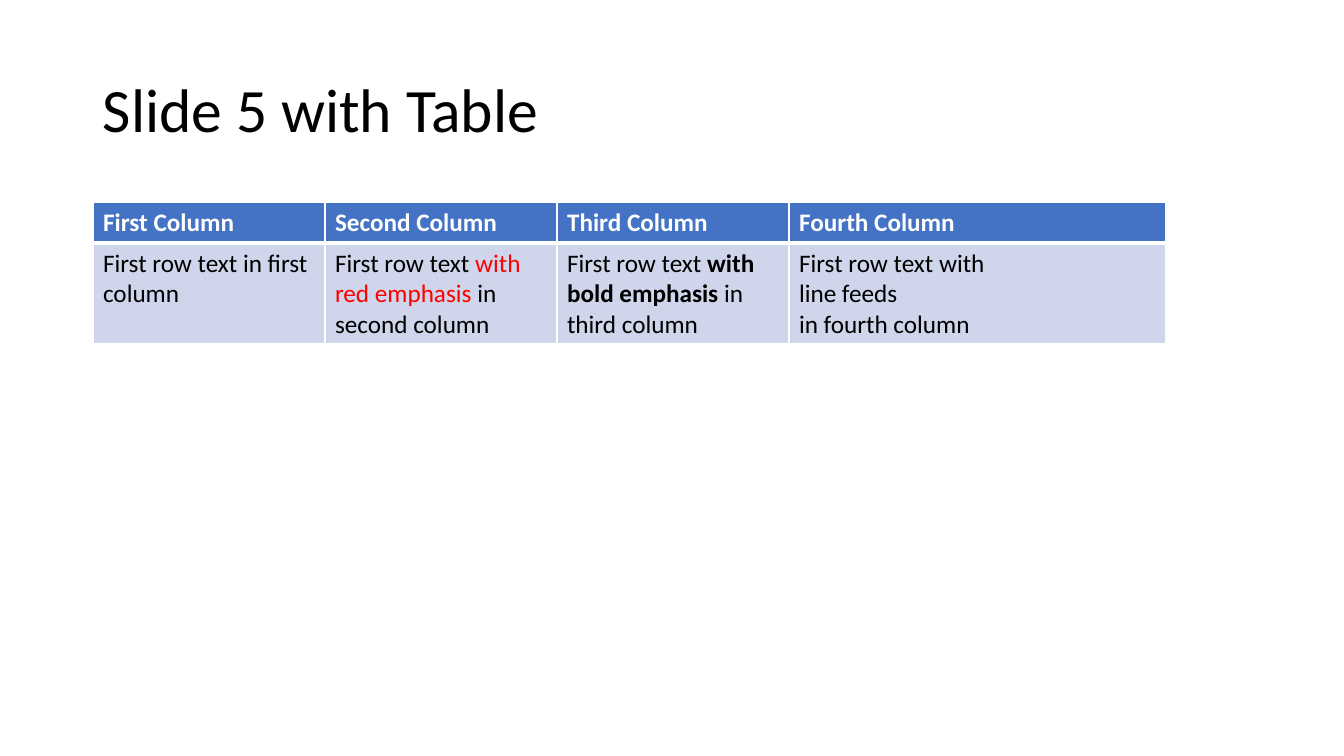
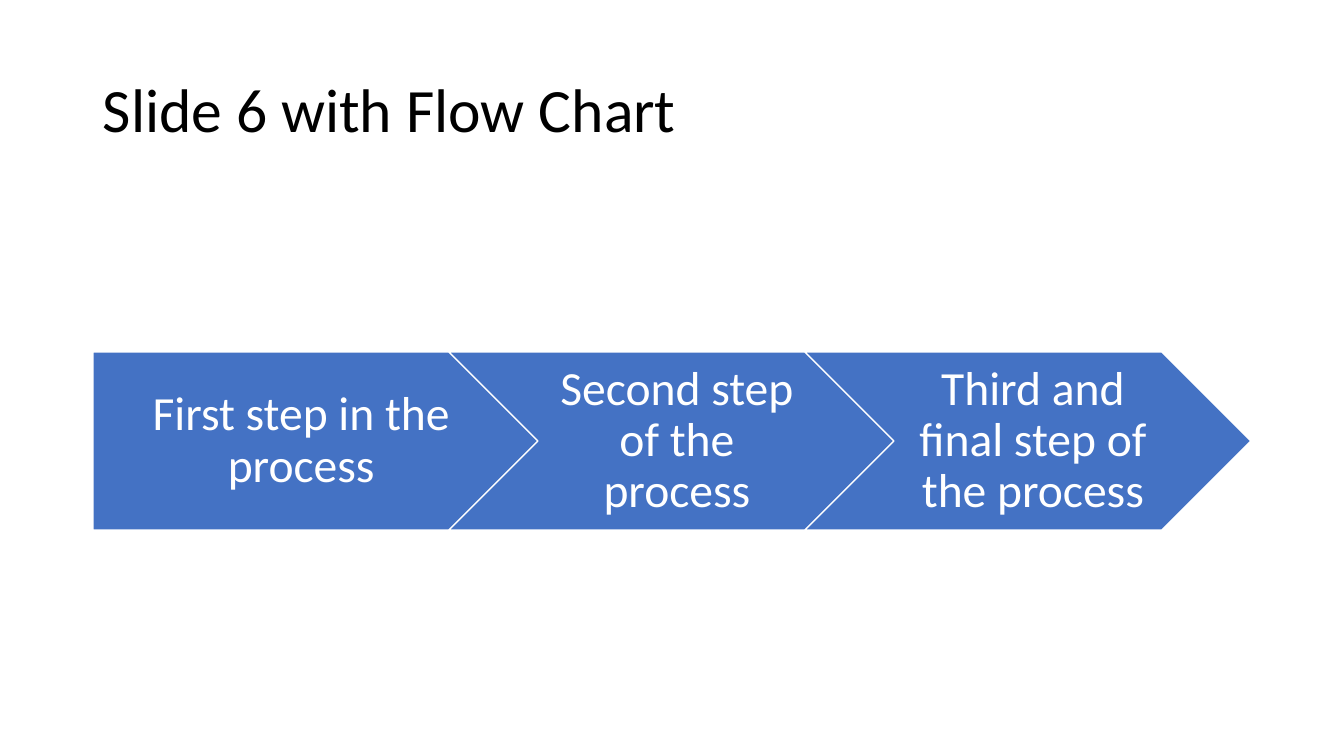
from dataclasses import dataclass

from lxml.etree import SubElement
from pptx import Presentation
from pptx.dml.color import RGBColor
from pptx.enum.shapes import MSO_SHAPE
from pptx.enum.text import MSO_ANCHOR, PP_ALIGN
from pptx.oxml.ns import qn
from pptx.util import Pt


@dataclass(frozen=True)
class Theme:
    font: str = "Calibri"
    title_size: int = 44
    step_size: int = 34
    table_size: int = 18
    black: RGBColor = RGBColor(0x00, 0x00, 0x00)
    white: RGBColor = RGBColor(0xFF, 0xFF, 0xFF)
    red: RGBColor = RGBColor(0xFF, 0x00, 0x00)
    accent: RGBColor = RGBColor(0x44, 0x72, 0xC4)
    pale: RGBColor = RGBColor(0xCF, 0xD5, 0xEA)


theme = Theme()
SCALE = 914400 / 100.8
LEFT = 93


def px(*lengths):
    """Turn pixel lengths into a list of EMU lengths."""
    return [round(length * SCALE) for length in lengths]


def style(paragraph, size, color, bold=False):
    """Set the font shared by all runs of a paragraph."""
    font = paragraph.font
    font.name, font.size, font.bold = theme.font, Pt(size), bold
    font.color.rgb = color


deck = Presentation()
deck.slide_width, deck.slide_height = px(1344, 756)

# Titled pages
pages = []
for title in ("Slide 5 with Table", "Slide 6 with Flow Chart"):
    page = deck.slides.add_slide(deck.slide_layouts[6])
    box = page.shapes.add_textbox(*px(LEFT, 40, 1159, 146))
    box.text_frame.word_wrap = True
    box.text_frame.vertical_anchor = MSO_ANCHOR.MIDDLE
    paragraph = box.text_frame.paragraphs[0]
    paragraph.text = title
    paragraph.line_spacing = 0.9
    style(paragraph, theme.title_size, theme.black)
    pages.append(page)
table_page, process_page = pages

# Table: each cell is a list of (text, emphasis) spans
rows = [
    [[(f"{name} Column", None)] for name in ("First", "Second", "Third", "Fourth")],
    [
        [("First row text in first column", None)],
        [("First row text ", None), ("with red emphasis ", "red"), ("in second column", None)],
        [("First row text ", None), ("with bold emphasis ", "bold"), ("in third column", None)],
        [("First row text with \vline feeds \vin fourth column", None)],
    ],
]
column_widths = (232, 232, 232, 377)
row_heights = (41, 101)
row_looks = (
    (theme.accent, theme.white, True, {"L": 1, "R": 1, "T": 1, "B": 3}),
    (theme.pale, theme.black, False, {"L": 1, "R": 1, "T": 3, "B": 1}),
)

frame = table_page.shapes.add_table(
    len(rows), len(column_widths), *px(LEFT, 202, sum(column_widths), sum(row_heights)))
table = frame.table
table.horz_banding = False
for column, width in zip(table.columns, px(*column_widths)):
    column.width = width
for row, height in zip(table.rows, px(*row_heights)):
    row.height = height

for row, contents, (fill, color, bold, borders) in zip(table.rows, rows, row_looks):
    for cell, spans in zip(row.cells, contents):
        properties = cell._tc.get_or_add_tcPr()
        for side, width in borders.items():
            border = SubElement(properties, qn(f"a:ln{side}"), w=str(Pt(width)))
            solid = SubElement(border, qn("a:solidFill"))
            SubElement(solid, qn("a:srgbClr"), val=str(theme.white))
        cell.fill.solid()
        cell.fill.fore_color.rgb = fill
        paragraph = cell.text_frame.paragraphs[0]
        style(paragraph, theme.table_size, color, bold)
        for text, emphasis in spans:
            first, *others = text.split("\v")
            span = paragraph.add_run()
            span.text = first
            for line in others:
                paragraph.add_line_break()
                paragraph.add_run().text = line
            if emphasis == "red":
                span.font.color.rgb = theme.red
            elif emphasis == "bold":
                span.font.bold = True

# Process: overlapping arrows, one per step
steps = (
    (MSO_SHAPE.PENTAGON, 20, "First step in the process"),
    (MSO_SHAPE.CHEVRON, 15, "Second step of the process"),
    (MSO_SHAPE.CHEVRON, 15, "Third and final step of the process"),
)
step_pitch = 356
for index, (kind, inset, text) in enumerate(steps):
    arrow = process_page.shapes.add_shape(
        kind, *px(LEFT + index * step_pitch, 352, 446, 178))
    arrow.shadow.inherit = False
    arrow.fill.solid()
    arrow.fill.fore_color.rgb = theme.accent
    arrow.line.color.rgb = theme.white
    arrow.line.width = Pt(1)
    label = arrow.text_frame
    label.word_wrap = True
    label.vertical_anchor = MSO_ANCHOR.MIDDLE
    label.margin_left, label.margin_top, label.margin_right, label.margin_bottom = px(
        inset, 10, 5, 10)
    paragraph = label.paragraphs[0]
    paragraph.text = text
    paragraph.alignment = PP_ALIGN.CENTER
    paragraph.line_spacing = 0.9
    style(paragraph, theme.step_size, theme.white)

deck.save("out.pptx")
